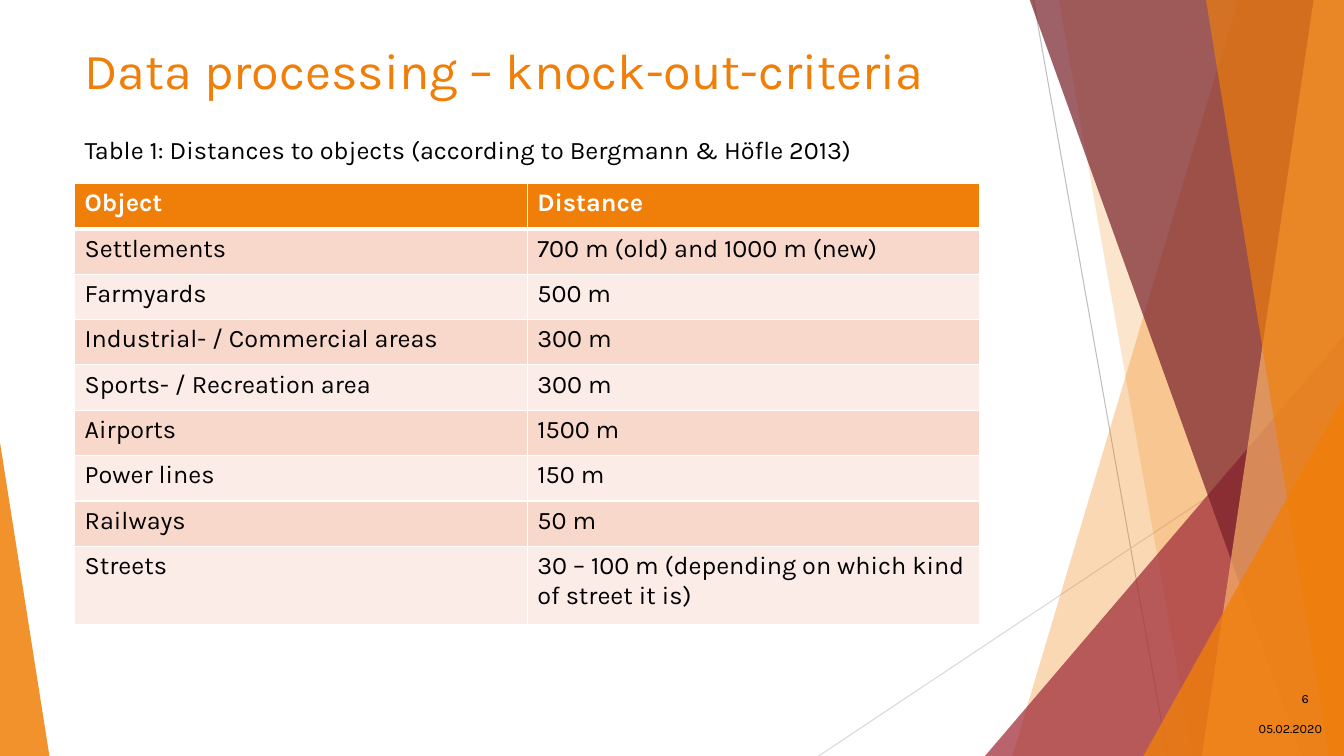
from lxml import etree
from pptx import Presentation
from pptx.dml.color import RGBColor
from pptx.enum import shapes, text
from pptx.oxml.ns import qn
from pptx.util import Inches, Pt

COLORS = {
    "orange": "F07F09", "light orange": "F9B268", "red": "9F2936", "dark red": "771F28",
    "band dark": "F9D8CC", "band light": "FCECE7", "white": "FFFFFF", "black": "000000",
    "grey": "BFBFBF", "light grey": "D9D9D9",
}
WIDTH, HEIGHT = 13.33, 7.5
TOP = -0.01

deck = Presentation()
deck.slide_width, deck.slide_height = Inches(WIDTH), Inches(HEIGHT)
slide = deck.slides.add_slide(deck.slide_layouts[6])


def paint(shard, color, opacity):
    shard.shadow.inherit = False
    shard.line.fill.background()
    shard.fill.solid()
    shard.fill.fore_color.rgb = RGBColor.from_string(COLORS[color])
    tint = shard.fill._xPr.find(qn("a:solidFill"))[0]
    etree.SubElement(tint, qn("a:alpha"), val=str(opacity * 1000))


def style(paragraph, size, color, bold=False):
    for run in paragraph.runs:
        run.font.name, run.font.size, run.font.bold = "Karla", Pt(size), bold
        run.font.color.rgb = RGBColor.from_string(COLORS[color])


# Thin background lines
for x1, y1, x2, y2, color in [(10.25, 0, 11.58, HEIGHT, "grey"),
                              (WIDTH, 4.03, 8.12, HEIGHT, "light grey")]:
    ray = slide.shapes.add_connector(shapes.MSO_CONNECTOR.STRAIGHT,
                                     Inches(x1), Inches(y1), Inches(x2), Inches(y2))
    ray.line.color.rgb = RGBColor.from_string(COLORS[color])
    ray.line.width = Pt(0.75)
    etree.SubElement(ray._element.spPr, qn("a:effectLst"))

# Translucent shards, back to front. Slabs reach the right edge and are given by
# the x of their left side at top and bottom; triangles by left, top, width, apex.
shards = [
    ("slab", (12.28, 10.04), "orange", 30),
    ("slab", (10.5, 11.83), "orange", 20),
    ("triangle", (9.77, 3.33, 3.56, 1), "red", 72),
    ("slab", (10.21, 12.91), "dark red", 70),
    ("slab", (13.03, 11.92), "light orange", 70),
    ("slab", (11.96, 13.18), "orange", 65),
    ("triangle", (11.34, 3.93, 1.99, 1), "orange", 80),
    ("triangle", (0, 4.39, 0.49, 0), "orange", 85),
]
for kind, place, color, opacity in shards:
    if kind == "slab":
        upper, lower = place
        outline = slide.shapes.build_freeform(Inches(upper), Inches(TOP))
        outline.add_line_segments([(Inches(x), Inches(y)) for x, y in
                                   [(WIDTH, TOP), (WIDTH, HEIGHT), (lower, HEIGHT)]])
        shard = outline.convert_to_shape()
    else:
        left, top, width, apex = place
        shard = slide.shapes.add_shape(shapes.MSO_SHAPE.ISOSCELES_TRIANGLE, Inches(left),
                                       Inches(top), Inches(width), Inches(HEIGHT - top))
        shard.adjustments[0] = apex
    paint(shard, color, opacity)

# Title, date, slide number and table caption
LEFT, RIGHT = text.PP_ALIGN.LEFT, text.PP_ALIGN.RIGHT
UPPER, MIDDLE = text.MSO_ANCHOR.TOP, text.MSO_ANCHOR.MIDDLE
labels = [
    ("Data processing – knock-out-criteria", 0.74, 0.34, 9.4, 0.8, 36, "orange", LEFT, UPPER, True),
    ("05.02.2020", 12.21, 7.03, 1, 0.4, 9, "black", RIGHT, MIDDLE, True),
    ("6", 12.33, 6.73, 0.75, 0.4, 9, "black", RIGHT, MIDDLE, True),
    ("Table 1: Distances to objects (according to Bergmann & Höfle 2013)",
     0.74, 1.28, 7.87, 0.4, 18, "black", LEFT, UPPER, False),
]
for words, left, top, width, height, size, color, align, anchor, wrap in labels:
    label = slide.shapes.add_textbox(Inches(left), Inches(top), Inches(width), Inches(height))
    frame = label.text_frame
    frame.word_wrap, frame.vertical_anchor = wrap, anchor
    frame.text = words
    frame.paragraphs[0].alignment = align
    style(frame.paragraphs[0], size, color)

# Table of distances
distances = [
    ("Object", "Distance"),
    ("Settlements", "700 m (old) and 1000 m (new)"),
    ("Farmyards", "500 m"),
    ("Industrial- / Commercial areas", "300 m"),
    ("Sports- / Recreation area", "300 m"),
    ("Airports", "1500 m"),
    ("Power lines", "150 m"),
    ("Railways", "50 m"),
    ("Streets", "30 – 100 m (depending on which kind of street it is)"),
]
table = slide.shapes.add_table(len(distances), 2, Inches(0.74), Inches(1.82),
                               Inches(8.98), Inches(4.38)).table
table.horz_banding = False
for column in table.columns:
    column.width = Inches(4.49)
for r, entries in enumerate(distances):
    header = r == 0
    table.rows[r].height = Inches(0.78 if r == len(distances) - 1 else 0.45)
    fill = "orange" if header else "band dark" if r % 2 else "band light"
    for c, words in enumerate(entries):
        cell = table.cell(r, c)
        cell.text_frame.text = words
        style(cell.text_frame.paragraphs[0], 18, "white" if header else "black", header)
        # White borders, heavier between header and body
        for side in "LRTB":
            heavy = (header and side == "B") or (r == 1 and side == "T")
            border = etree.SubElement(cell._tc.get_or_add_tcPr(), qn(f"a:ln{side}"),
                                      w=str(Pt(3 if heavy else 1)))
            paper = etree.SubElement(border, qn("a:solidFill"))
            etree.SubElement(paper, qn("a:srgbClr"), val=COLORS["white"])
        cell.fill.solid()
        cell.fill.fore_color.rgb = RGBColor.from_string(COLORS[fill])

deck.save("out.pptx")
